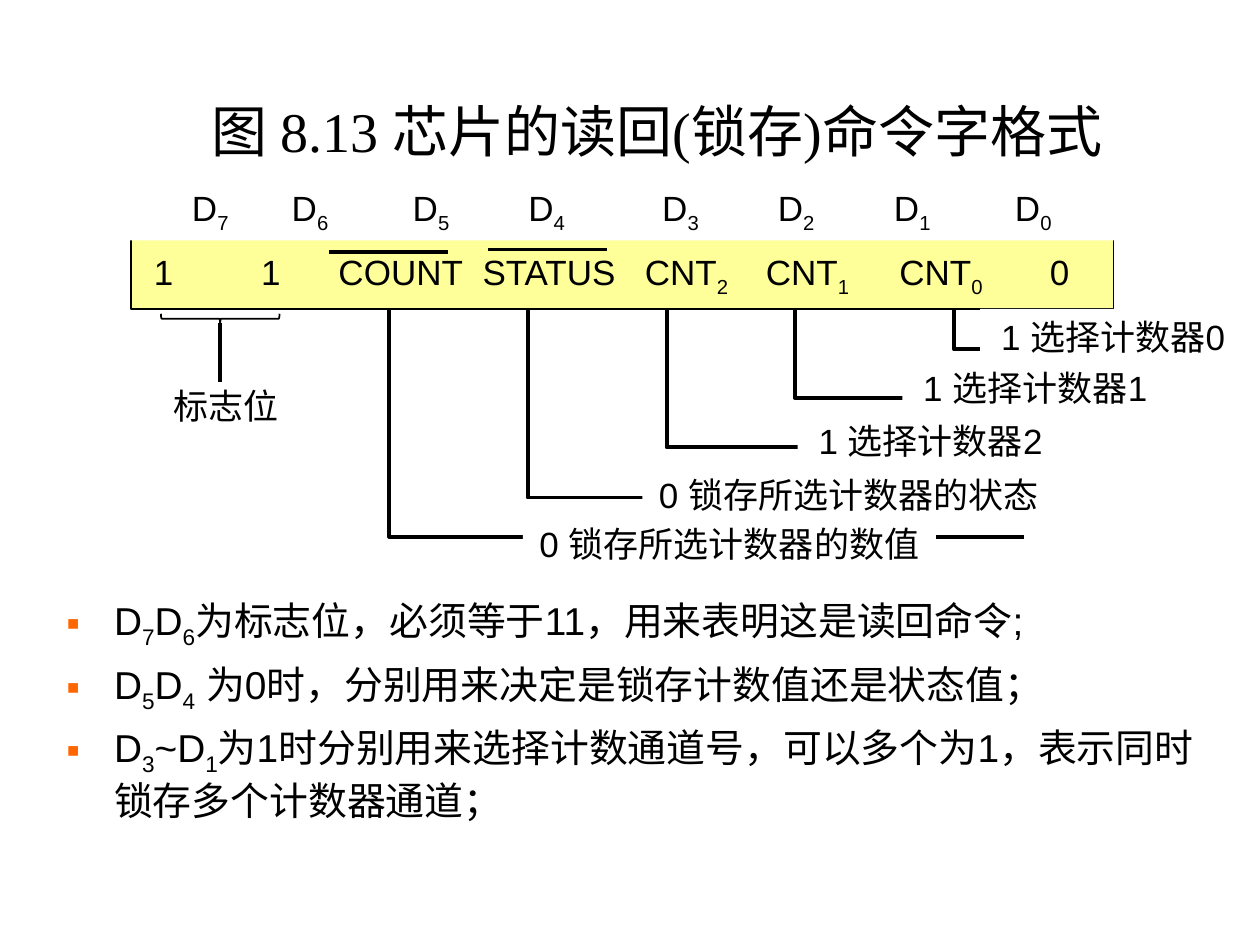
from dataclasses import dataclass

from lxml.etree import SubElement
from pptx import Presentation
from pptx.dml.color import RGBColor
from pptx.enum.shapes import MSO_CONNECTOR, MSO_SHAPE
from pptx.enum.text import MSO_ANCHOR, PP_ALIGN
from pptx.oxml.ns import qn
from pptx.util import Cm, Pt


@dataclass(frozen=True)
class Theme:
    ink: RGBColor = RGBColor(0, 0, 0)
    paper: RGBColor = RGBColor(255, 255, 255)
    register: RGBColor = RGBColor(0xFF, 0xFF, 0x99)
    bullet: str = "FF6600"
    title_font: str = "Times New Roman"
    font: str = "Arial"
    title_size: Pt = Pt(32)
    body_size: Pt = Pt(22.2)
    label_size: Pt = Pt(20)
    thin: Pt = Pt(1)
    thick: Pt = Pt(2.25)


THEME = Theme()

# Centres in cm from the left edge of each row's text area
BITS = [("D_7", 1.75), ("D_6", 3.76), ("D_5", 6.2), ("D_4", 8.53),
        ("D_3", 11.23), ("D_2", 13.56), ("D_1", 15.9), ("D_0", 18.34)]
FIELDS = [("1", 0.41), ("1", 2.57), ("COUNT", 5.19), ("STATUS", 8.18),
          ("CNT_2", 10.95), ("CNT_1", 13.39), ("CNT_0", 16.08), ("0", 18.47)]
# Text, label box (left, top, width), leader (x, bottom, right end)
MEANINGS = [
    ("0 锁存所选计数器的数值", (7.9, 5.58, 8.33), (5.21, 5.99, 18.01)),
    ("0 锁存所选计数器的状态", (10.31, 4.59, 8.33), (8, 5.2, 17.81)),
    ("1 选择计数器2", (13.44, 3.5, 5.36), (10.8, 4.19, 17.81)),
    ("1 选择计数器1", (15.55, 2.44, 5.36), (13.39, 3.2, 17.81)),
    ("1 选择计数器0", (17.12, 1.4, 5.36), (16.59, 2.21, 17.81)),
]
NOTES = [
    "D_7D_6为标志位，必须等于11，用来表明这是读回命令;",
    "D_5D_4 为0时，分别用来决定是锁存计数值还是状态值；",
    "D_3~D_1为1时分别用来选择计数通道号，可以多个为1，表示同时锁存多个计数器通道；",
]


def write(paragraph, text, size=THEME.label_size, font=THEME.font):
    """Fill a paragraph; the character after each underscore is a subscript."""
    first, *rest = text.split("_")
    pieces = [(first, False)]
    for part in rest:
        pieces += [(part[0], True), (part[1:], False)]
    for piece, is_subscript in pieces:
        if not piece:
            continue
        run = paragraph.add_run()
        run.text = piece
        for name, value in {"size": size, "name": font}.items():
            setattr(run.font, name, value)
        run.font.color.rgb = THEME.ink
        if is_subscript:
            run._r.get_or_add_rPr().set("baseline", "-25000")


def add_panel(slide, box, fill=THEME.paper, outlined=False, wrap=False):
    """Add a plain rectangle and return its text frame."""
    panel = slide.shapes.add_shape(MSO_SHAPE.RECTANGLE, *map(Cm, box))
    panel.shadow.inherit = False
    panel.fill.solid()
    panel.fill.fore_color.rgb = fill
    if outlined:
        set_line(panel, THEME.thin)
    else:
        panel.line.fill.background()
    panel.text_frame.word_wrap = wrap
    return panel.text_frame


def add_label(slide, box, text):
    frame = add_panel(slide, box)
    frame.vertical_anchor = MSO_ANCHOR.TOP
    frame.paragraphs[0].alignment = PP_ALIGN.CENTER
    write(frame.paragraphs[0], text)


def add_tabbed_row(slide, box, entries, anchor, **style):
    """Centre every entry of one text line on its own tab stop."""
    frame = add_panel(slide, box, wrap=True, **style)
    frame.vertical_anchor = anchor
    row = frame.paragraphs[0]
    row.alignment = PP_ALIGN.LEFT
    stops = SubElement(row._p.get_or_add_pPr(), qn("a:tabLst"))
    for _, centre in entries:
        SubElement(stops, qn("a:tab"), pos=str(int(Cm(centre))), algn="ctr")
    write(row, "".join("\t" + text for text, _ in entries))


def set_line(shape, width):
    shape.line.color.rgb = THEME.ink
    shape.line.width = width


def add_line(slide, *ends):
    line = slide.shapes.add_connector(MSO_CONNECTOR.STRAIGHT, *map(Cm, ends))
    set_line(line, THEME.thick)
    SubElement(line._element.spPr, qn("a:effectLst"))


def add_leader(slide, x, top, bottom, right):
    """Draw an elbow that goes down and then right."""
    builder = slide.shapes.build_freeform(Cm(x), Cm(top))
    builder.add_line_segments(
        [(Cm(x), Cm(bottom)), (Cm(right), Cm(bottom))], close=False)
    leader = builder.convert_to_shape()
    leader.shadow.inherit = False
    leader.fill.background()
    set_line(leader, THEME.thick)


def add_flag_mark(slide, left, top):
    """Bracket the two flag bits and name them below."""
    brace = slide.shapes.add_shape(
        MSO_SHAPE.LEFT_BRACE, Cm(left + 1.7), Cm(top + 0.4), Cm(0.2), Cm(2.39))
    brace.rotation = 270
    brace.shadow.inherit = False
    brace.fill.background()
    set_line(brace, THEME.thin)
    add_label(slide, (left + 0.61, top + 2.79, 2.62, 1.12), "标志位")
    add_line(slide, left + 1.8, top + 2.87, left + 1.8, top + 1.68)


def add_command_word(slide, left, top, width, height):
    add_tabbed_row(slide, (left, top, width, height), FIELDS,
                   MSO_ANCHOR.MIDDLE, fill=THEME.register, outlined=True)
    add_tabbed_row(slide, (left - 0.4, top - 1.2, width + 0.8, 1.22), BITS,
                   MSO_ANCHOR.TOP)
    for start, drop in ((3.99, 0.25), (7.19, 0.2)):
        add_line(slide, left + start, top + drop, left + start + 2.41, top + drop)
    add_flag_mark(slide, left, top)
    for _, _, (x, bottom, right) in MEANINGS:
        add_leader(slide, left + x, top + height, top + bottom, left + right)
    for text, (x, y, label_width), _ in MEANINGS:
        add_label(slide, (left + x, top + y, label_width, 1.12), text)


def add_title(slide, *box):
    frame = slide.shapes.add_textbox(*map(Cm, box)).text_frame
    frame.word_wrap = True
    frame.vertical_anchor = MSO_ANCHOR.MIDDLE
    frame.paragraphs[0].alignment = PP_ALIGN.CENTER
    write(frame.paragraphs[0], "图 8.13 芯片的读回(锁存)命令字格式",
          THEME.title_size, THEME.title_font)


def add_notes(slide, *box):
    frame = slide.shapes.add_textbox(*map(Cm, box)).text_frame
    frame.word_wrap = True
    for index, text in enumerate(NOTES):
        note = frame.add_paragraph() if index else frame.paragraphs[0]
        properties = note._p.get_or_add_pPr()
        for name, value in {"marL": Cm(0.96), "indent": Cm(-0.96)}.items():
            properties.set(name, str(int(value)))
        colour = SubElement(properties, qn("a:buClr"))
        SubElement(colour, qn("a:srgbClr"), val=THEME.bullet)
        SubElement(properties, qn("a:buFont"), typeface=THEME.font)
        SubElement(properties, qn("a:buChar"), char="▪")
        if index:
            note.space_before = Pt(6)
        write(note, text, THEME.body_size)


def main():
    deck = Presentation()
    deck.slide_width, deck.slide_height = Cm(25.4), Cm(19.05)
    slide = deck.slides.add_slide(deck.slide_layouts[6])
    add_title(slide, 1.98, 1.73, 22.53, 1.8)
    add_notes(slide, 1.09, 11.91, 23.72, 5)
    add_command_word(slide, 2.64, 4.83, 19.81, 1.4)
    deck.save("out.pptx")


if __name__ == "__main__":
    main()
